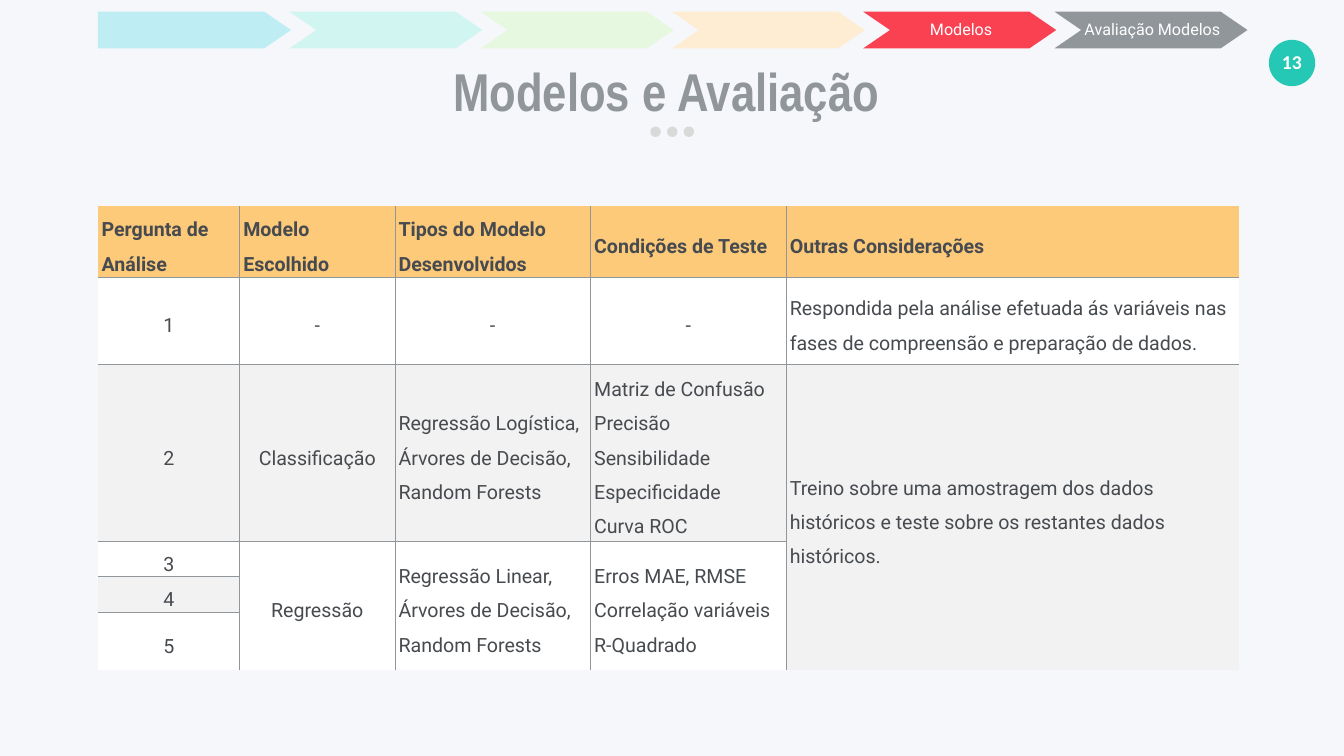
"""Build the slide that sums up the models and how they were evaluated."""
import dataclasses

import pptx
import pptx.dml.color
import pptx.enum.shapes
import pptx.enum.text
import pptx.oxml
import pptx.oxml.ns
import pptx.util

Pt = pptx.util.Pt
PP_ALIGN = pptx.enum.text.PP_ALIGN
ANCHOR = pptx.enum.text.MSO_ANCHOR
OVAL = pptx.enum.shapes.MSO_SHAPE.OVAL


@dataclasses.dataclass(frozen=True)
class Theme:
    """Colours, fonts and type sizes."""
    background: str = "F6F7FA"
    accent: str = "25C8B4"
    grey: str = "91969B"
    dot: str = "D9D9D9"
    white: str = "FFFFFF"
    ink: str = "474B4F"
    header: str = "FDCA7A"
    band: str = "F2F2F2"
    steps: tuple = ("BEEEF4", "D1F6F2", "E6F8E0", "FEEDD3", "F94151", "91969B")
    body_font: str = "Roboto"
    title_font: str = "Arial Narrow"
    number_font: str = "Calibri"
    title: int = 76
    body: int = 28
    step: int = 23


THEME = Theme()

STEP_TEXTS = {4: "Modelos", 5: "Avaliação Modelos"}
COLUMNS = [202.3, 221.8, 279.4, 279.4, 647.2]
ROWS = [101.2, 124.6, 253, 50.3, 50.7, 82.6]
CELLS = [
    ["Pergunta de Análise", "Modelo Escolhido", "Tipos do Modelo Desenvolvidos",
     "Condições de Teste", "Outras Considerações"],
    ["1", "-", "-", "-",
     "Respondida pela análise efetuada ás variáveis nas fases de compreensão "
     "e preparação de dados."],
    ["2", "Classificação", "Regressão Logística, Árvores de Decisão, Random Forests",
     "Matriz de Confusão\nPrecisão\nSensibilidade\nEspecificidade\nCurva ROC",
     "Treino sobre uma amostragem dos dados históricos e teste sobre os "
     "restantes dados históricos."],
    ["3", "Regressão", "Regressão Linear, Árvores de Decisão, Random Forests",
     "Erros MAE, RMSE\nCorrelação variáveis\nR-Quadrado", None],
    ["4", None, None, None, None],
    ["5", None, None, None, None],
]


def rgb(color):
    """Turn a hex string into a colour."""
    return pptx.dml.color.RGBColor.from_string(color)


def write(tf, text, *, size, color, font=THEME.body_font, bold=False,
          align=PP_ALIGN.LEFT, spacing=None):
    """Fill a text frame, one paragraph per line of text."""
    for i, line in enumerate(text.split("\n")):
        p = tf.add_paragraph() if i else tf.paragraphs[0]
        p.alignment = align
        p.line_spacing = spacing
        r = p.add_run()
        r.text = line
        r.font.size = Pt(size)
        r.font.name = font
        r.font.bold = bold
        r.font.color.rgb = rgb(color)


def set_margins(obj, left, top, right, bottom):
    """Set the inner margins of a text frame or a cell."""
    obj.margin_left, obj.margin_top = Pt(left), Pt(top)
    obj.margin_right, obj.margin_bottom = Pt(right), Pt(bottom)


def paint(sp, color):
    """Give a shape a plain fill without line or shadow."""
    sp.shadow.inherit = False
    sp.fill.solid()
    sp.fill.fore_color.rgb = rgb(color)
    sp.line.fill.background()


def add_circle(s, x, y, d, color):
    """Add a filled circle."""
    paint(s.shapes.add_shape(OVAL, Pt(x), Pt(y), Pt(d), Pt(d)), color)


def add_label(s, box, text, margins, anchor, **fmt):
    """Add a centred one-line text box."""
    tf = s.shapes.add_textbox(*map(Pt, box)).text_frame
    tf.word_wrap = False
    tf.auto_size = pptx.enum.text.MSO_AUTO_SIZE.SHAPE_TO_FIT_TEXT
    tf.vertical_anchor = anchor
    set_margins(tf, *margins)
    write(tf, text, align=PP_ALIGN.CENTER, bold=True, **fmt)


def add_step(s, index, color, text):
    """Add one arrow of the process bar; the first has a flat tail."""
    w, h, tip = 275.8, 52.6, 38.4
    x, y = 139.9 + 273.2 * index, 16.6
    points = [(x + w - tip, y), (x + w, y + h / 2), (x + w - tip, y + h), (x, y + h)]
    if index:
        points.append((x + tip, y + h / 2))
    fb = s.shapes.build_freeform(Pt(x), Pt(y))
    fb.add_line_segments([(Pt(px), Pt(py)) for px, py in points], close=True)
    sp = fb.convert_to_shape()
    paint(sp, color)
    if text:
        tf = sp.text_frame
        tf.word_wrap = True
        tf.vertical_anchor = ANCHOR.MIDDLE
        set_margins(tf, 41, 5, 36.7, 5)
        write(tf, text, size=THEME.step, color=THEME.white,
              align=PP_ALIGN.CENTER, spacing=0.9)


def set_borders(cell, **sides):
    """Draw or hide the borders of a cell, by side."""
    tcPr = cell._tc.get_or_add_tcPr()
    for side in "LRTB":
        fill = (f'<a:solidFill><a:srgbClr val="{THEME.grey}"/></a:solidFill>'
                if sides[side] else "<a:noFill/>")
        tcPr.append(pptx.oxml.parse_xml(
            f'<a:ln{side} {pptx.oxml.ns.nsdecls("a")} w="{Pt(1)}">{fill}</a:ln{side}>'))


def add_table(s):
    """Add the table of models with its merged cells."""
    n_rows, n_cols = len(ROWS), len(COLUMNS)
    table = s.shapes.add_table(n_rows, n_cols, Pt(139.9), Pt(294.5),
                               Pt(sum(COLUMNS)), Pt(sum(ROWS))).table
    table.first_row = table.horz_banding = False
    for col, width in zip(table.columns, COLUMNS):
        col.width = Pt(width)
    for row, height in zip(table.rows, ROWS):
        row.height = Pt(height)
    for i, texts in enumerate(CELLS):
        for j, text in enumerate(texts):
            cell = table.cell(i, j)
            below = i + 1 < n_rows and CELLS[i + 1][j] is not None
            set_borders(cell, L=j > 0, R=j < n_cols - 1,
                        T=i > 0 and text is not None, B=below)
            first = next(k for k in range(i, -1, -1) if CELLS[k][j] is not None)
            cell.fill.solid()
            cell.fill.fore_color.rgb = rgb(
                THEME.header if i == 0 else THEME.white if first % 2 else THEME.band)
            cell.vertical_anchor = ANCHOR.MIDDLE
            set_margins(cell, 5.3, 0, 5.3, 0)
            if text is not None:
                centred = i > 0 and (j < 2 or text == "-")
                write(cell.text_frame, text, size=THEME.body, color=THEME.ink,
                      bold=i == 0, spacing=1.5,
                      align=PP_ALIGN.CENTER if centred else PP_ALIGN.LEFT)
    for j, top in enumerate([3, 3, 3, 2], start=1):
        table.cell(top, j).merge(table.cell(n_rows - 1, j))


def main():
    """Build and save the slide."""
    prs = pptx.Presentation()
    prs.slide_width, prs.slide_height = Pt(1919.5), Pt(1080)
    s = prs.slides.add_slide(prs.slide_layouts[6])
    s.background.fill.solid()
    s.background.fill.fore_color.rgb = rgb(THEME.background)
    add_circle(s, 1812.2, 56.9, 66.2, THEME.accent)
    add_label(s, (1813.7, 64.8, 62.6, 48.2), "13", (14.4, 7.2, 14.4, 7.2), ANCHOR.TOP,
              size=THEME.body, color=THEME.white, font=THEME.number_font)
    add_label(s, (618.5, 82.8, 683.3, 92.2), "Modelos e Avaliação ", (0, 0, 0, 0),
              ANCHOR.MIDDLE, size=THEME.title, color=THEME.grey, font=THEME.title_font)
    for i in range(3):
        add_circle(s, 928.8 + 23.8 * i, 180.7, 15, THEME.dot)
    for i, color in enumerate(THEME.steps):
        add_step(s, i, color, STEP_TEXTS.get(i))
    add_table(s)
    prs.save("out.pptx")


if __name__ == "__main__":
    main()
